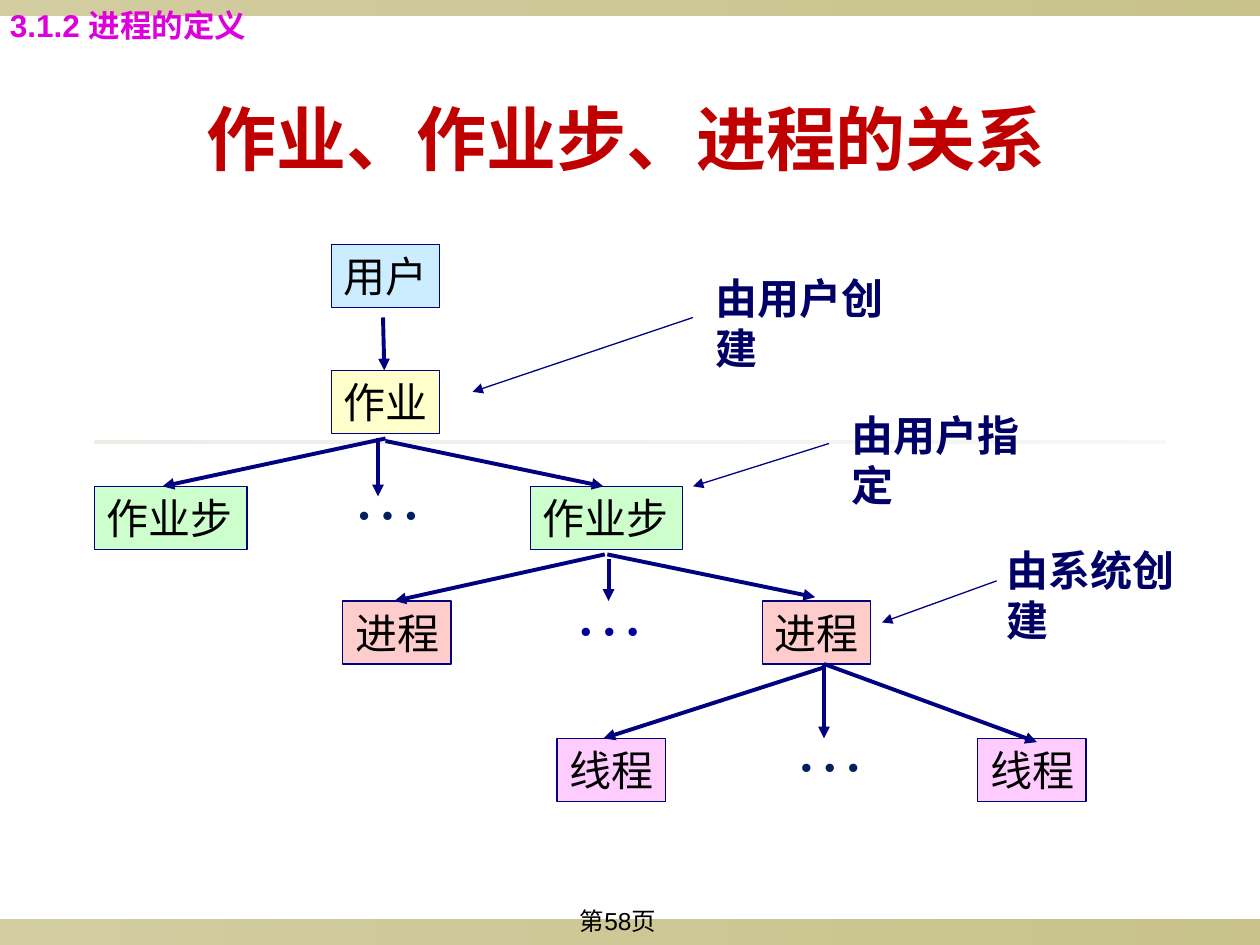
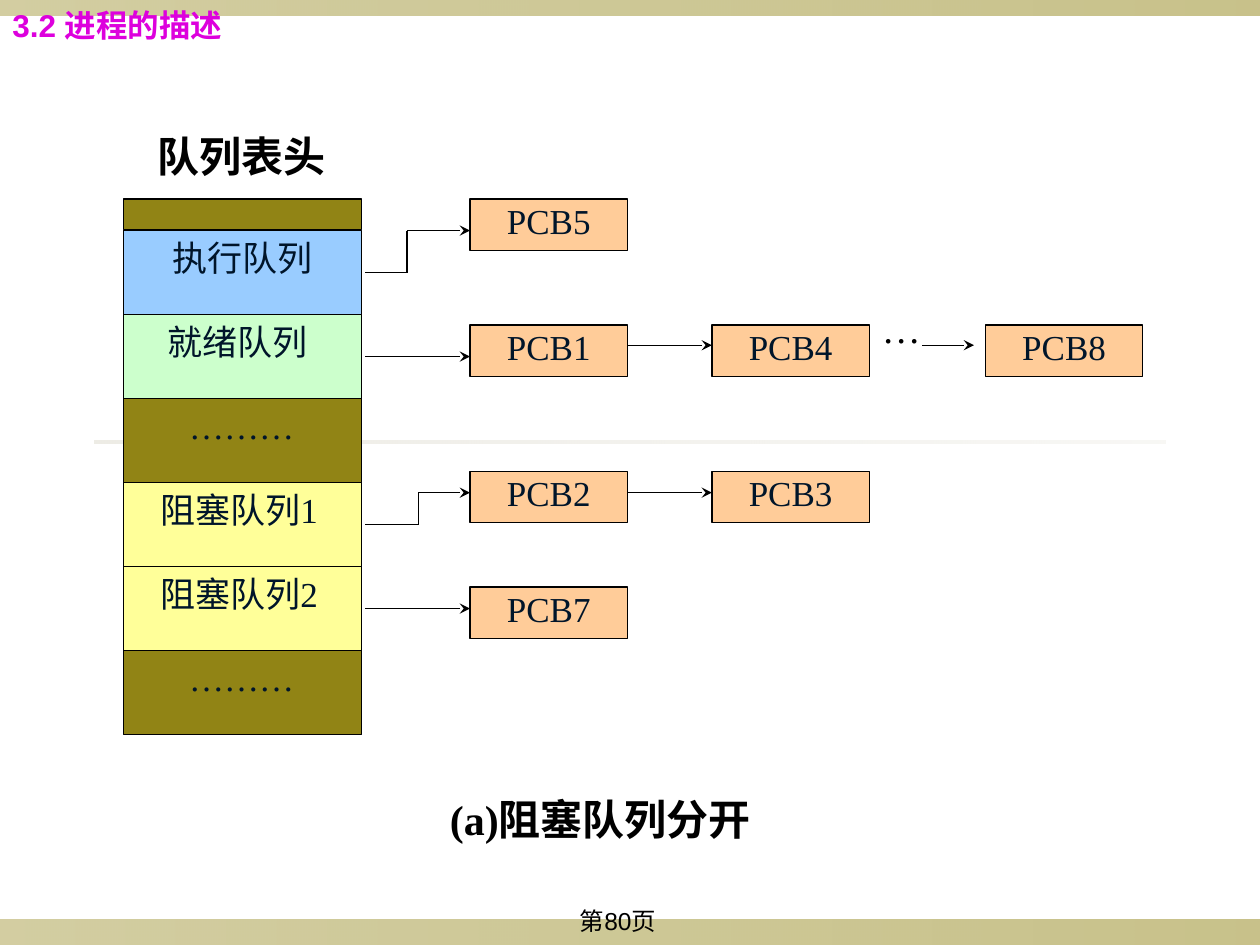
from itertools import pairwise

from lxml.etree import SubElement
from pptx import Presentation
from pptx.dml.color import RGBColor
from pptx.enum.shapes import MSO_CONNECTOR, MSO_SHAPE
from pptx.enum.text import MSO_ANCHOR, PP_ALIGN
from pptx.oxml.ns import qn
from pptx.util import Inches, Pt

# Shared look
SERIF, SANS, TITLE_FONT = "Times New Roman", "Arial", "Roboto"
BLACK, NAVY, INK = "000000", "000080", "00152A"
OLIVE, RULE, MAGENTA, RED = "918415", "DCD9CC", "DD00DD", "C00000"
LABEL_BLUE, DOTS_BLUE = "000066", "002060"
YELLOW, GREEN, PEACH = "FFFF99", "CCFFCC", "FFCC99"

# Queue diagram grid
HEAD_X, HEAD_W, FIRST_ROW_Y, ROW_H = 0.98, 1.89, 1.83, 2 / 3
PCB_X, PCB_W, PCB_H = (3.73, 5.65, 7.82), 1.25, 0.41


def rgb(color):
    return RGBColor.from_string(color)


def write(sp, text, size, color=BLACK, font=SERIF, bold=False,
          align=PP_ALIGN.LEFT, wrap=True, anchor=MSO_ANCHOR.TOP,
          spacing=None, indent=0):
    tf = sp.text_frame
    tf.word_wrap = wrap
    tf.vertical_anchor = anchor
    tf.margin_left = Inches(0.1 + indent)
    p = tf.paragraphs[0]
    p.text = text
    p.alignment = align
    if spacing:
        p.line_spacing = spacing
    f = p.runs[0].font
    f.name, f.size, f.bold = font, Pt(size), bold
    f.color.rgb = rgb(color)


def add_text(s, box, text, size, **style):
    write(s.shapes.add_textbox(*map(Inches, box)), text, size, **style)


def add_rect(s, box, fill, line):
    sp = s.shapes.add_shape(MSO_SHAPE.RECTANGLE, *map(Inches, box))
    sp.shadow.inherit = False
    sp.fill.solid()
    sp.fill.fore_color.rgb = rgb(fill)
    sp.line.color.rgb = rgb(line)
    sp.line.width = Pt(0.75)
    return sp


def add_fade(s, box, color, opacities):
    """Rectangle of one colour whose opacity (percent) runs left to right."""
    sp = s.shapes.add_shape(MSO_SHAPE.RECTANGLE, *map(Inches, box))
    sp.shadow.inherit = False
    sp.line.fill.background()
    sp.fill.gradient()
    sp.fill.gradient_angle = 0
    for stop in sp.fill.gradient_stops:
        stop.color.rgb = rgb(color)
    colors = sp._element.spPr.iter(qn("a:srgbClr"))
    for clr, opacity in zip(list(colors), opacities):
        SubElement(clr, qn("a:alpha")).set("val", str(opacity * 1000))


def add_line(s, start, end, color, width=0.75, head=None):
    cn = s.shapes.add_connector(MSO_CONNECTOR.STRAIGHT,
                                *map(Inches, (*start, *end)))
    cn.line.color.rgb = rgb(color)
    cn.line.width = Pt(width)
    if head:
        SubElement(cn.line._get_or_add_ln(), qn("a:tailEnd")).set("type", head)
    SubElement(cn._element.spPr, qn("a:effectLst"))


def add_route(s, *points):
    """Thin line through the points, with an arrowhead at the last one."""
    for start, end in pairwise(points):
        add_line(s, start, end, BLACK,
                 head="stealth" if end == points[-1] else None)


def add_base(prs, section, section_x, page):
    s = prs.slides.add_slide(prs.slide_layouts[6])
    add_fade(s, (0, 7.3, 10, 0.2), OLIVE, (40, 50))
    add_fade(s, (0, 0, 10, 0.12), OLIVE, (40, 50))
    add_fade(s, (0.75, 3.5, 8.5, 0.02), RULE, (50, 20))
    add_text(s, (3.74, 7.14, 2.33, 0.36), f"第{page}页", 14, font=SANS,
             align=PP_ALIGN.CENTER)
    add_text(s, (section_x, 0, 2.2, 0.4), section, 18, color=MAGENTA,
             font=SANS, bold=True)
    return s


def add_node(s, x, y, text, fill):
    width = 0.86 if len(text) == 2 else 1.21
    write(add_rect(s, (x, y, width, 0.5), fill, NAVY), text, 24, wrap=False)


def add_pcb(s, column, y, number):
    sp = add_rect(s, (PCB_X[column], y, PCB_W, PCB_H), PEACH, BLACK)
    write(sp, f"PCB{number}", 20, color=INK, align=PP_ALIGN.CENTER,
          spacing=0.86)


def build_hierarchy(prs):
    s = add_base(prs, "3.1.2 进程的定义", -0.02, 58)
    add_text(s, (0.47, 0.47, 9, 1.25), "作业、作业步、进程的关系", 40,
             color=RED, font=TITLE_FONT, bold=True, align=PP_ALIGN.CENTER,
             anchor=MSO_ANCHOR.MIDDLE)

    # Levels from user down to thread
    for x, y, text, fill in (
            (2.63, 1.94, "用户", "CCECFF"), (2.63, 2.94, "作业", "FFFFCC"),
            (0.75, 3.86, "作业步", GREEN), (4.21, 3.86, "作业步", GREEN),
            (2.72, 4.77, "进程", "FFCCCC"), (6.05, 4.77, "进程", "FFCCCC"),
            (4.42, 5.86, "线程", "FFCCFF"), (7.76, 5.86, "线程", "FFCCFF")):
        add_node(s, x, y, text, fill)

    # Branches
    for start, end in (
            ((3.04, 2.52), (3.05, 2.94)),
            ((3.06, 3.48), (1.29, 3.86)), ((3, 3.48), (3, 3.94)),
            ((3.06, 3.5), (4.79, 3.86)),
            ((4.8, 4.4), (3.13, 4.77)), ((4.83, 4.44), (4.83, 4.77)),
            ((4.82, 4.4), (6.47, 4.74)),
            ((6.53, 5.3), (4.79, 5.86)), ((6.54, 5.27), (6.54, 5.86)),
            ((6.54, 5.27), (8.23, 5.89))):
        add_line(s, start, end, NAVY, 2.25, "triangle")
    for x, y, color in ((2.7, 3.52, DOTS_BLUE), (4.46, 4.44, "000099"),
                        (6.21, 5.52, DOTS_BLUE)):
        add_text(s, (x, y, 0.76, 0.77), "…", 40, color=color, wrap=False)

    # Who creates each level
    for x, y, text, start, end in (
            (5.58, 2.11, "由用户创建", (5.5, 2.52), (3.75, 3.11)),
            (6.66, 3.2, "由用户指定", (6.58, 3.52), (5.5, 3.86)),
            (7.89, 4.27, "由系统创建", (7.91, 4.61), (7, 4.94))):
        add_line(s, start, end, NAVY, head="triangle")
        add_text(s, (x, y, 1.86, 0.5), text, 24, color=LABEL_BLUE, bold=True,
                 wrap=False)


def build_queues(prs):
    s = add_base(prs, "3.2 进程的描述", 0, 80)
    add_text(s, (3.43, 6.25, 2.67, 0.5), "(a)阻塞队列分开", 24, bold=True,
             align=PP_ALIGN.CENTER, wrap=False)

    # Queue header table
    add_text(s, (1.15, 0.99, 1.58, 0.5), "队列表头", 24, bold=True)
    add_rect(s, (HEAD_X, 1.58, HEAD_W, 0.24), OLIVE, BLACK)
    rows = (("执行队列", "99CCFF", 0.29), ("就绪队列", GREEN, 0.25),
            ("………", OLIVE, 0.42), ("阻塞队列1", YELLOW, 0.19),
            ("阻塞队列2", YELLOW, 0.19), ("………", OLIVE, 0.42))
    for i, (text, fill, indent) in enumerate(rows):
        box = (HEAD_X, FIRST_ROW_Y + i * ROW_H, HEAD_W, ROW_H)
        write(add_rect(s, box, fill, BLACK), text, 20, color=INK,
              indent=indent)

    # Process control blocks in each queue
    for y, blocks in ((1.58, (5,)), (2.58, (1, 4, 8)), (3.74, (2, 3)),
                      (4.66, (7,))):
        for column, number in enumerate(blocks):
            add_pcb(s, column, y, number)
    add_text(s, (6.9, 2.41, 0.42, 0.5), "…", 22.2, spacing=0.9)

    # Header row to first block: row, bend position, arrival height
    for row, bend_x, y in ((0, 3.23, 1.83), (1, None, 2.83),
                           (3, 3.32, 3.91), (4, None, 4.83)):
        row_y = FIRST_ROW_Y + (row + 0.5) * ROW_H
        bend = ((bend_x, row_y), (bend_x, y)) if bend_x else ()
        add_route(s, (2.9, row_y if bend else y), *bend, (PCB_X[0], y))

    # Block to next block
    for x, next_x, y in ((PCB_X[0] + PCB_W, PCB_X[1], 2.74),
                         (7.32, 7.73, 2.74),
                         (PCB_X[0] + PCB_W, PCB_X[1], 3.91)):
        add_route(s, (x, y), (next_x, y))


def main():
    prs = Presentation()
    prs.slide_width, prs.slide_height = Inches(10), Inches(7.5)
    build_hierarchy(prs)
    build_queues(prs)
    prs.save("out.pptx")


if __name__ == "__main__":
    main()
